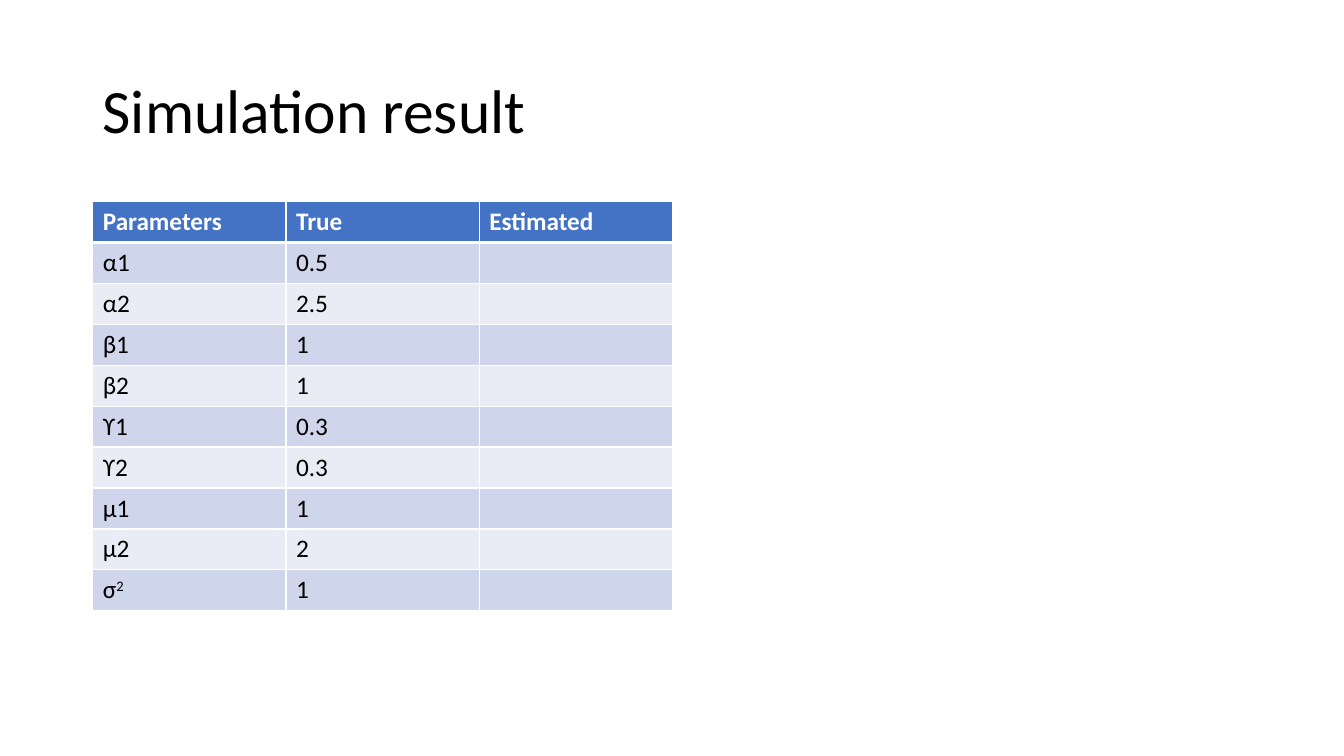
"""Build the simulation result slide with its parameter table."""
from lxml.etree import SubElement
from pptx import Presentation
from pptx.dml.color import RGBColor
from pptx.enum.text import MSO_ANCHOR
from pptx.oxml.ns import qn
from pptx.util import Inches, Pt

COLORS = {
    "text": "000000",
    "white": "FFFFFF",
    "header": "4472C4",
    "odd_row": "CFD5EA",
    "even_row": "E9EBF5",
}
HEADERS = ("Parameters", "True", "Estimated")
PARAMETERS = [
    ("α1", "0.5"),
    ("α2", "2.5"),
    ("β1", "1"),
    ("β2", "1"),
    ("ϒ1", "0.3"),
    ("ϒ2", "0.3"),
    ("μ1", "1"),
    ("μ2", "2"),
    ("σ", "1"),
]


def style_font(font, size, color, bold=False):
    font.name = "Calibri"
    font.size = Pt(size)
    font.bold = bold
    font.color.rgb = RGBColor.from_string(COLORS[color])


def add_border(cell, side, width):
    line = SubElement(cell._tc.get_or_add_tcPr(), qn(f"a:ln{side}"), w=str(Pt(width)))
    fill = SubElement(line, qn("a:solidFill"))
    SubElement(fill, qn("a:srgbClr"), val=COLORS["white"])


presentation = Presentation()
presentation.slide_width = Inches(13.33)
presentation.slide_height = Inches(7.5)
slide = presentation.slides.add_slide(presentation.slide_layouts[6])

title = slide.shapes.add_textbox(Inches(0.92), Inches(0.4), Inches(11.5), Inches(1.45))
title.text_frame.word_wrap = True
title.text_frame.vertical_anchor = MSO_ANCHOR.MIDDLE
title.text_frame.text = "Simulation result"
title_paragraph = title.text_frame.paragraphs[0]
title_paragraph.line_spacing = 0.9
style_font(title_paragraph.runs[0].font, 44, "text")

table = slide.shapes.add_table(
    len(PARAMETERS) + 1, len(HEADERS),
    Inches(0.92), Inches(2), Inches(5.75), Inches(4.06),
).table

rows = [HEADERS] + [(name, value, "") for name, value in PARAMETERS]
for row_index, row in enumerate(rows):
    is_header = row_index == 0
    row_color = "header" if is_header else "odd_row" if row_index % 2 else "even_row"
    for column_index, text in enumerate(row):
        cell = table.cell(row_index, column_index)
        for side in "LRTB":
            thick = (is_header and side == "B") or (row_index == 1 and side == "T")
            add_border(cell, side, 3 if thick else 1)
        cell.fill.solid()
        cell.fill.fore_color.rgb = RGBColor.from_string(COLORS[row_color])
        paragraph = cell.text_frame.paragraphs[0]
        paragraph.text = text
        if text == "σ":
            exponent = paragraph.add_run()
            exponent.text = "2"
            exponent.font._element.set("baseline", "30000")
        for run in paragraph.runs:
            style_font(run.font, 18, "white" if is_header else "text", is_header)

presentation.save("out.pptx")
